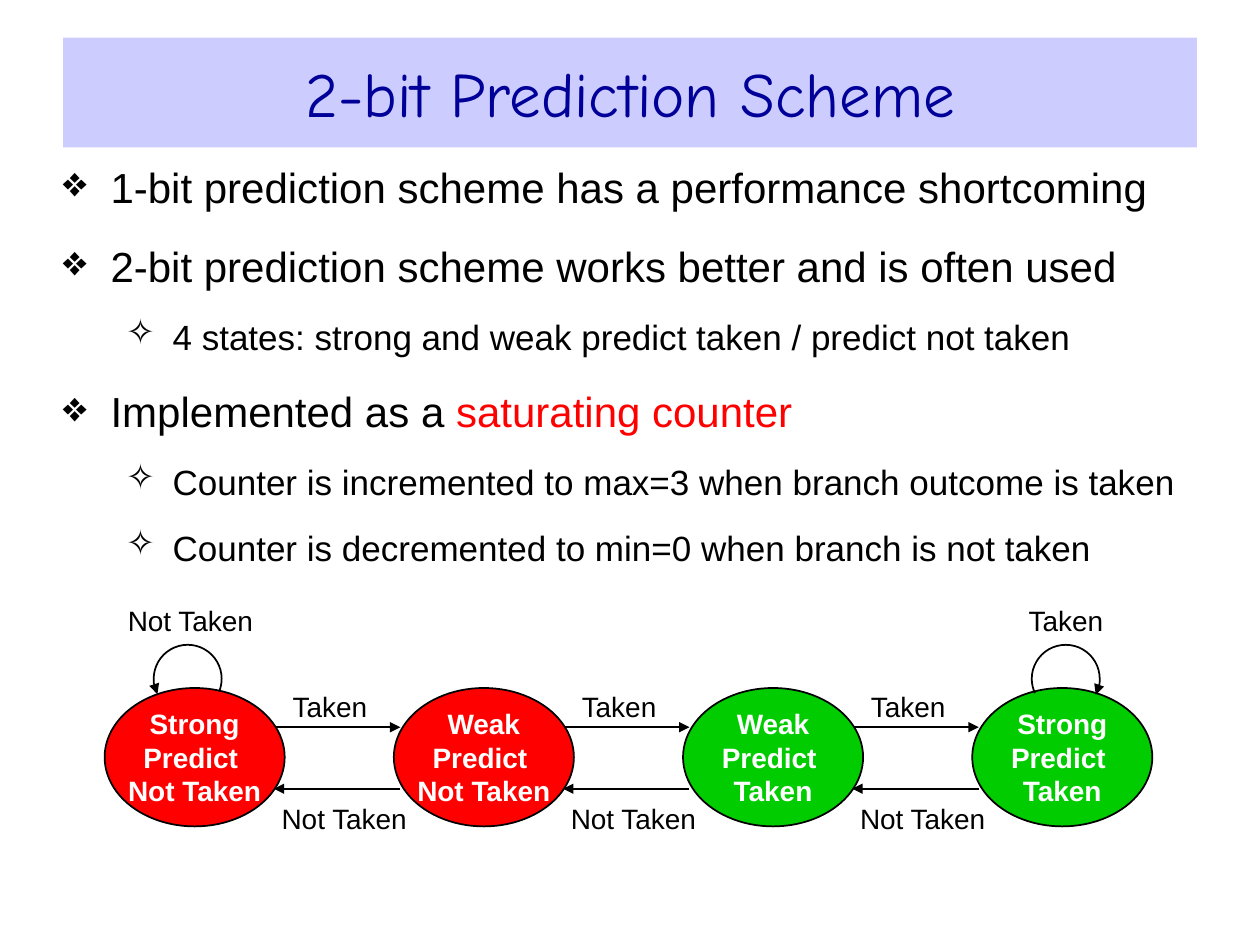
from lxml import etree
from pptx import Presentation
from pptx.dml.color import RGBColor
from pptx.enum.shapes import MSO_CONNECTOR, MSO_SHAPE
from pptx.enum.text import MSO_ANCHOR, PP_ALIGN
from pptx.oxml.ns import qn
from pptx.util import Cm, Pt

ARC, OVAL = MSO_SHAPE.ARC, MSO_SHAPE.OVAL
STRAIGHT = MSO_CONNECTOR.STRAIGHT
MIDDLE, CENTER = MSO_ANCHOR.MIDDLE, PP_ALIGN.CENTER

COLORS = {"band": "CCCCFF", "title": "000099", "text": "000000", "accent": "FF0000",
          "not taken": "FF0000", "taken": "00CC00", "state": "FFFFFF"}
TIGHT = {"margin_left": 0, "margin_right": 0, "margin_top": 0, "margin_bottom": 0,
         "vertical_anchor": MIDDLE, "word_wrap": False}
TITLE_FONT = {"name": "Comic Neue", "size": Pt(36), "bold": False}
LABEL_FONT = {"name": "Arial", "size": Pt(16), "bold": False}
STATE_FONT = {"name": "Arial", "size": Pt(16), "bold": True}


def write_centered(frame, lines, font_format, color):
    for name, value in TIGHT.items():
        setattr(frame, name, value)
    for index, line in enumerate(lines):
        paragraph = frame.paragraphs[0] if index == 0 else frame.add_paragraph()
        paragraph.alignment = CENTER
        run = paragraph.add_run()
        run.text = line
        for name, value in font_format.items():
            setattr(run.font, name, value)
        run.font.color.rgb = RGBColor.from_string(COLORS[color])


def draw_arrow(curve, end):
    curve.line.color.rgb = RGBColor.from_string(COLORS["text"])
    curve.line.width = Pt(1)
    arrowhead = etree.SubElement(curve.line._get_or_add_ln(), qn(f"a:{end}"))
    for name, value in {"type": "triangle", "w": "med", "len": "med"}.items():
        arrowhead.set(name, value)
    properties = curve._element.spPr
    if properties.find(qn("a:effectLst")) is None:
        etree.SubElement(properties, qn("a:effectLst"))


prs = Presentation()
prs.slide_width, prs.slide_height = Cm(25.4), Cm(19.05)
slide = prs.slides.add_slide(prs.slide_layouts[5])
shapes = slide.shapes

title = shapes.title
title_place = {"left": Cm(1.27), "top": Cm(0.76), "width": Cm(22.86), "height": Cm(2.21)}
for name, value in title_place.items():
    setattr(title, name, value)
title.fill.solid()
title.fill.fore_color.rgb = RGBColor.from_string(COLORS["band"])
write_centered(title.text_frame, ["2-bit Prediction Scheme"], TITLE_FONT, "title")

LEVELS = [
    {"bullet": "❖", "indent": 0.96, "hanging": 0.96, "size": 24, "before": 16.5},
    {"bullet": "✧", "indent": 2.21, "hanging": 0.94, "size": 20, "before": 13.8},
]
points = [
    (0, [("1-bit prediction scheme has a performance shortcoming", "text")]),
    (0, [("2-bit prediction scheme works better and is often used", "text")]),
    (1, [("4 states: strong and weak predict taken / predict not taken", "text")]),
    (0, [("Implemented as a ", "text"), ("saturating counter", "accent")]),
    (1, [("Counter is incremented to max=3 when branch outcome is taken", "text")]),
    (1, [("Counter is decremented to min=0 when branch is not taken", "text")]),
]
body = shapes.add_textbox(Cm(1.27), Cm(3.12), Cm(22.86), Cm(8.64)).text_frame
body_format = {"margin_left": 0, "margin_right": 0, "margin_top": Cm(0.13),
               "margin_bottom": Cm(0.13), "word_wrap": True}
for name, value in body_format.items():
    setattr(body, name, value)
for index, (level, parts) in enumerate(points):
    style = LEVELS[level]
    point = body.paragraphs[0] if index == 0 else body.add_paragraph()
    properties = point._p.get_or_add_pPr()
    properties.set("marL", str(Cm(style["indent"])))
    properties.set("indent", str(-Cm(style["hanging"])))
    etree.SubElement(properties, qn("a:buChar")).set("char", style["bullet"])
    point.level = level
    point.space_before = Pt(style["before"] if index else 0)
    for text, color in parts:
        run = point.add_run()
        run.text = text
        for name, value in {"name": "Arial", "size": Pt(style["size"])}.items():
            setattr(run.font, name, value)
        run.font.color.rgb = RGBColor.from_string(COLORS[color])

FIRST_STATE, STATE_PITCH = 2.11, 5.83
states = [("Strong", "Not Taken"), ("Weak", "Not Taken"), ("Weak", "Taken"), ("Strong", "Taken")]
labels = [("Not Taken", 2.34, 12.09, 3, 0.84), ("Taken", 20.55, 12.09, 1.88, 0.84)]

for index in range(len(states) - 1):
    state_left = FIRST_STATE + index * STATE_PITCH
    start, end = state_left + 3.41, state_left + 5.96
    for tail, tip, height in [(start, end, 14.66), (end, start, 15.9)]:
        transition = shapes.add_connector(STRAIGHT, Cm(tail), Cm(height), Cm(tip), Cm(height))
        draw_arrow(transition, "tailEnd")
    labels += [("Taken", state_left + 3.6, 13.87, 1.88, 0.74),
               ("Not Taken", state_left + 3.27, 15.98, 3.12, 1.02)]

for index, (strength, outcome) in enumerate(states):
    state = shapes.add_shape(OVAL, Cm(FIRST_STATE + index * STATE_PITCH), Cm(13.87), Cm(3.63), Cm(2.79))
    state.shadow.inherit = False
    state.fill.solid()
    state.fill.fore_color.rgb = RGBColor.from_string(COLORS[outcome.lower()])
    state.line.color.rgb = RGBColor.from_string(COLORS["text"])
    state.line.width = Pt(1)
    write_centered(state.text_frame, [strength, "Predict ", outcome], STATE_FONT, "state")

for left, from_degrees, to_degrees, end in [(3.1, 153, 22, "headEnd"), (20.8, 155, 28, "tailEnd")]:
    self_loop = shapes.add_shape(ARC, Cm(left), Cm(13), Cm(1.37), Cm(1.37))
    self_loop.adjustments[0] = from_degrees * 0.6
    self_loop.adjustments[1] = to_degrees * 0.6
    self_loop.fill.background()
    draw_arrow(self_loop, end)

for text, *place in labels:
    label = shapes.add_textbox(*map(Cm, place))
    write_centered(label.text_frame, [text], LABEL_FONT, "text")

prs.save("out.pptx")
